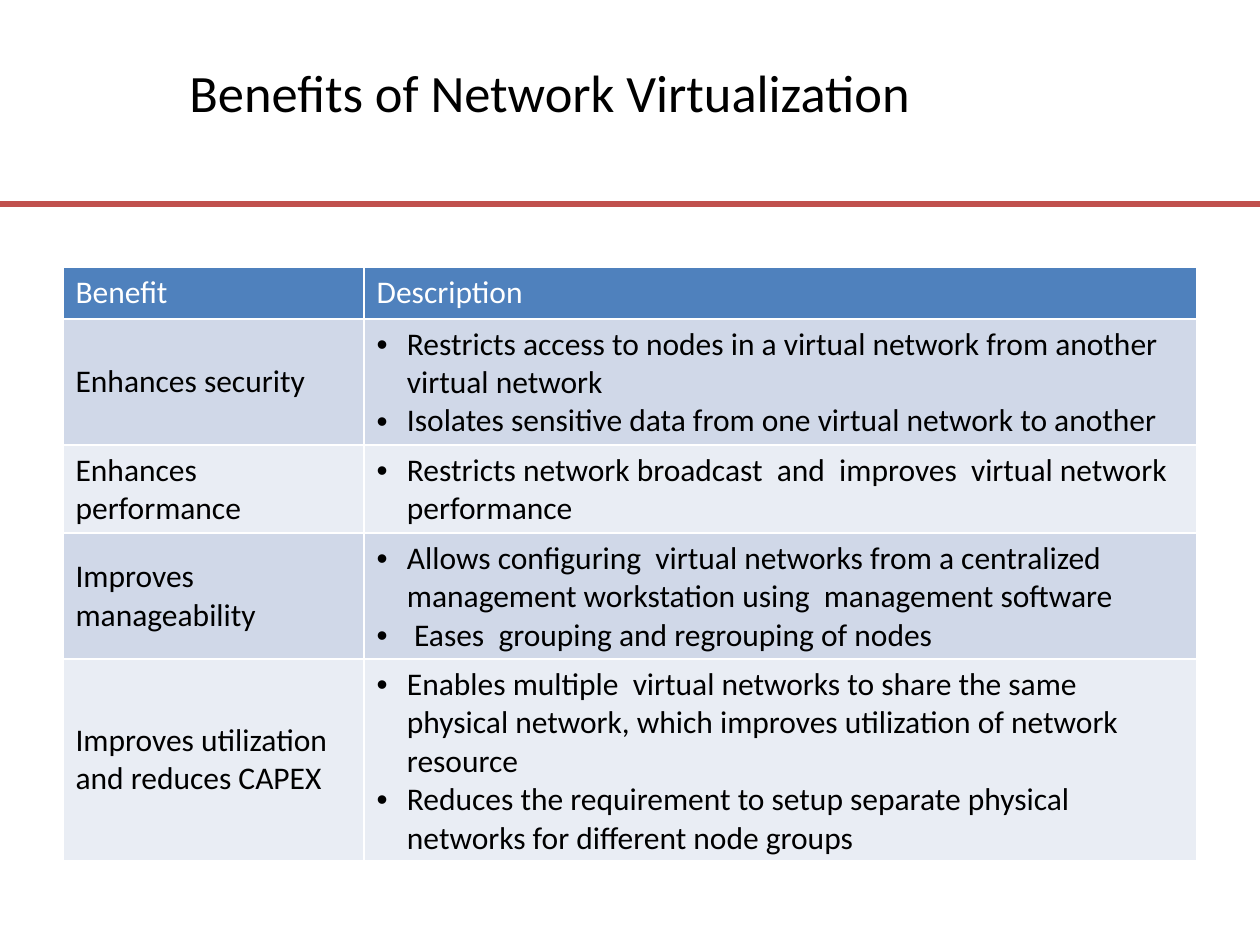
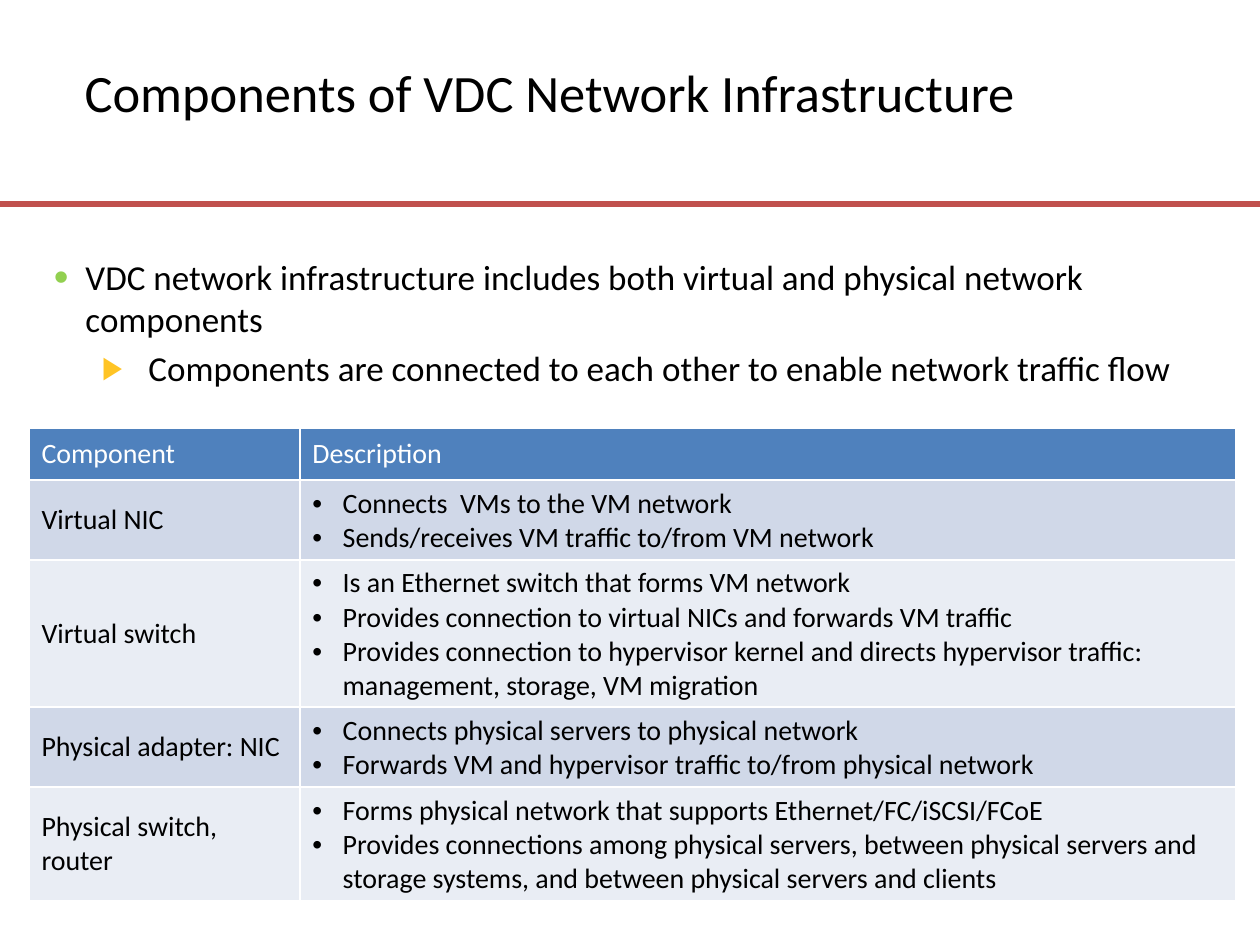
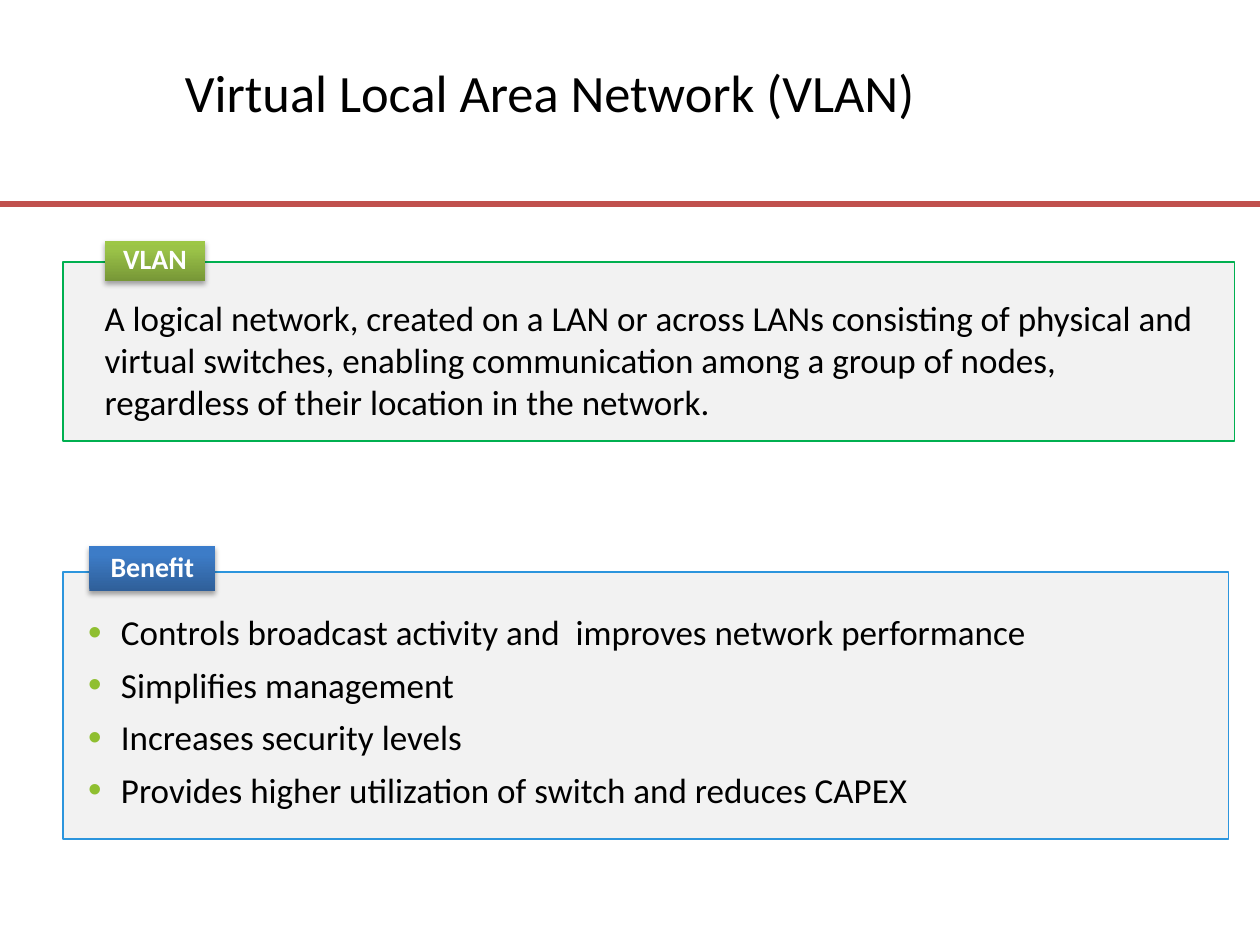
from lxml import etree
from pptx import Presentation
from pptx import util as u
from pptx.dml.color import RGBColor
from pptx.enum import shapes, text
from pptx.oxml.ns import qn

FONT = "Calibri"
COLORS = {
    "black": "000000", "white": "FFFFFF", "rule": "C0504D",
    "header": "4F81BD", "band_dark": "D0D8E8", "band_light": "E9EDF4",
    "panel": "F2F2F2", "vlan_line": "00B050", "benefit_line": "2C95DD",
    "green_dot": "92D050", "yellow_arrow": "FFC425", "olive_dot": "8FBF30",
}
# Gradient stops run from the bottom of a badge to its top.
VLAN_GRADIENT = {0: "779737", 80: "9BC348", 100: "9DC746"}
BENEFIT_GRADIENT = {0: "2F5F99", 80: "3D7CC7", 100: "3A7CCB"}

CELL_BULLET = {"char": "•", "left": 0.24, "hang": 0.24}
BODY_BULLETS = [
    {"char": "•", "left": 0.25, "hang": 0.25, "color": "green_dot", "size": 120},
    {"char": "▶", "left": 0.75, "hang": 0.37, "color": "yellow_arrow", "size": 90},
]
PANEL_BULLET = {"char": "•", "left": 0.26, "hang": 0.26,
                "color": "olive_dot", "size": 110}

BENEFITS = [
    ("Benefit", ["Description"]),
    ("Enhances security", [
        "Restricts access to nodes in a virtual network from another virtual network",
        "Isolates sensitive data from one virtual network to another"]),
    ("Enhances performance", [
        "Restricts network broadcast  and  improves  virtual network performance"]),
    ("Improves manageability", [
        "Allows configuring  virtual networks from a centralized management "
        "workstation using  management software",
        " Eases  grouping and regrouping of nodes"]),
    ("Improves utilization and reduces CAPEX", [
        "Enables multiple  virtual networks to share the same physical network, "
        "which improves utilization of network resource",
        "Reduces the requirement to setup separate physical networks for "
        "different node groups"]),
]
COMPONENTS = [
    ("Component", ["Description"]),
    ("Virtual NIC", [
        "Connects  VMs to the VM network",
        "Sends/receives VM traffic to/from VM network"]),
    ("Virtual switch", [
        "Is an Ethernet switch that forms VM network",
        "Provides connection to virtual NICs and forwards VM traffic",
        "Provides connection to hypervisor kernel and directs hypervisor traffic: "
        "management, storage, VM migration"]),
    ("Physical adapter: NIC", [
        "Connects physical servers to physical network",
        "Forwards VM and hypervisor traffic to/from physical network"]),
    ("Physical switch, router", [
        "Forms physical network that supports Ethernet/FC/iSCSI/FCoE",
        "Provides connections among physical servers, between physical servers "
        "and storage systems, and between physical servers and clients"]),
]
VLAN_DEFINITION = (
    "A logical network, created on a LAN or across LANs consisting of physical "
    "and virtual switches, enabling communication among a group of nodes, "
    "regardless of their location in the network.")
VLAN_BENEFITS = [
    "Controls broadcast activity and  improves network performance",
    "Simplifies management",
    "Increases security levels",
    "Provides higher utilization of switch and reduces CAPEX",
]


def rgb(name):
    return RGBColor.from_string(COLORS[name])


def inches(values):
    return [u.Inches(value) for value in values]


def set_attributes(target, values):
    for name, value in values.items():
        setattr(target, name, value)


def add_element(parent, tag, **attributes):
    return etree.SubElement(parent, qn(tag), attributes)


def add_bullet(paragraph, bullet):
    properties = paragraph._p.get_or_add_pPr()
    properties.set("marL", str(u.Inches(bullet["left"])))
    properties.set("indent", str(-u.Inches(bullet["hang"])))
    if "color" in bullet:
        color = add_element(properties, "a:buClr")
        add_element(color, "a:srgbClr", val=COLORS[bullet["color"]])
        add_element(properties, "a:buSzPct", val=str(bullet["size"] * 1000))
    add_element(properties, "a:buFont", typeface="Arial")
    add_element(properties, "a:buChar", char=bullet["char"])


def write(frame, lines, size, color="black", bold=False, bullets=None, **layout):
    """Fill a text frame with one paragraph a line; layout sets paragraph values."""
    for index, line in enumerate(lines):
        paragraph = frame.add_paragraph() if index else frame.paragraphs[0]
        run = paragraph.add_run()
        run.text = line
        set_attributes(run.font, {"name": FONT, "size": u.Pt(size), "bold": bold})
        run.font.color.rgb = rgb(color)
        if bullets:
            add_bullet(paragraph, bullets[min(index, len(bullets) - 1)])
        set_attributes(paragraph, {"alignment": text.PP_ALIGN.LEFT, **layout})


def add_text_box(slide, box, anchor):
    frame = slide.shapes.add_textbox(*inches(box)).text_frame
    set_attributes(frame, {"word_wrap": True, "vertical_anchor": anchor})
    return frame


def add_titled_slide(presentation, title):
    slide = presentation.slides.add_slide(presentation.slide_layouts[6])
    rule = slide.shapes.add_connector(
        shapes.MSO_CONNECTOR.STRAIGHT, *inches((0, 1.62, 10, 1.62)))
    rule.line.color.rgb = rgb("rule")
    rule.line.width = u.Pt(3.5)
    add_element(rule._element.spPr, "a:effectLst")
    frame = add_text_box(slide, (0.5, 0.3, 7.73, 0.85), text.MSO_ANCHOR.MIDDLE)
    write(frame, [title], 30, alignment=text.PP_ALIGN.CENTER)
    return slide


def add_cell_borders(cell):
    properties = cell._tc.get_or_add_tcPr()
    for side in "LRTB":
        border = add_element(properties, f"a:ln{side}", w=str(u.Pt(1)))
        fill = add_element(border, "a:solidFill")
        add_element(fill, "a:srgbClr", val=COLORS["white"])


def add_description_table(slide, box, first_width, row_heights, rows, size):
    left, top, width = box
    table = slide.shapes.add_table(
        len(rows), 2, *inches((left, top, width, sum(row_heights)))).table
    table.horz_banding = False
    for column, column_width in zip(table.columns, (first_width, width - first_width)):
        column.width = u.Inches(column_width)
    for index, (label, descriptions) in enumerate(rows):
        table.rows[index].height = u.Inches(row_heights[index])
        is_header = index == 0
        fill = "header" if is_header else ("band_light", "band_dark")[index % 2]
        color = "white" if is_header else "black"
        for column, lines in enumerate(([label], descriptions)):
            cell = table.cell(index, column)
            add_cell_borders(cell)
            cell.fill.solid()
            cell.fill.fore_color.rgb = rgb(fill)
            cell.vertical_anchor = text.MSO_ANCHOR.MIDDLE
            bullets = [CELL_BULLET] if column and not is_header else None
            write(cell.text_frame, lines, size, color, bullets=bullets)


def add_rectangle(group, box, margins):
    """Add a plain rectangle; margins are left, top, right, bottom."""
    shape = group.shapes.add_shape(shapes.MSO_SHAPE.RECTANGLE, *inches(box))
    shape.shadow.inherit = False
    sides = ("margin_left", "margin_top", "margin_right", "margin_bottom")
    set_attributes(shape.text_frame, {
        "word_wrap": True, "vertical_anchor": text.MSO_ANCHOR.MIDDLE,
        **dict(zip(sides, inches(margins)))})
    return shape


def add_badge(group, box, label, gradient):
    badge = add_rectangle(group, box, (0.11, 0, 0.11, 0))
    badge.line.fill.background()
    badge.fill.gradient()
    badge.fill.gradient_angle = 90
    properties = badge._element.spPr
    stops = properties.find(".//" + qn("a:gsLst"))
    for stop in list(stops):
        stops.remove(stop)
    for position, color in gradient.items():
        stop = add_element(stops, "a:gs", pos=str(position * 1000))
        add_element(stop, "a:srgbClr", val=color)
    shadow = add_element(
        properties.find(qn("a:effectLst")), "a:outerShdw", blurRad=str(u.Pt(3.1)),
        dist=str(u.Pt(1.8)), dir="5400000", rotWithShape="0")
    shade = add_element(shadow, "a:srgbClr", val=COLORS["black"])
    add_element(shade, "a:alpha", val="35000")
    write(badge.text_frame, [label], 16, "white", bold=True,
          alignment=text.PP_ALIGN.CENTER, line_spacing=0.9)


def add_badged_panel(slide, box, line, margins, lines, badge, **style):
    """Add a panel; the badge box is given relative to the panel's corner."""
    group = slide.shapes.add_group_shape()
    panel = add_rectangle(group, box, margins)
    panel.fill.solid()
    panel.fill.fore_color.rgb = rgb("panel")
    panel.line.color.rgb = rgb(line)
    panel.line.width = u.Pt(0.75)
    write(panel.text_frame, lines, 20, **style)
    label, (dx, dy, width, height), gradient = badge
    add_badge(group, (box[0] + dx, box[1] + dy, width, height), label, gradient)


def build_benefits_slide(presentation):
    slide = add_titled_slide(presentation, "Benefits of Network Virtualization")
    add_description_table(slide, (0.5, 2.12, 9), 2.39,
                          (0.41, 1, 0.7, 1, 1.6), BENEFITS, 18)


def build_components_slide(presentation):
    slide = add_titled_slide(presentation, "Components of VDC Network Infrastructure")
    frame = add_text_box(slide, (0.33, 1.98, 9.42, 1.42), text.MSO_ANCHOR.TOP)
    write(frame, [
        "VDC network infrastructure includes both virtual and physical network components",
        "Components are connected to each other to enable network traffic flow",
    ], 20, bullets=BODY_BULLETS, space_before=u.Pt(4))
    add_description_table(slide, (0.23, 3.4, 9.58), 2.15,
                          (0.41, 0.63, 1.17, 0.63, 0.9), COMPONENTS, 16)


def build_vlan_slide(presentation):
    slide = add_titled_slide(presentation, "Virtual Local Area Network (VLAN)")
    add_badged_panel(
        slide, (0.5, 2.08, 9.3, 1.42), "vlan_line", (0.33, 0.25, 0.33, 0.12),
        [VLAN_DEFINITION], ("VLAN", (0.33, -0.17, 0.8, 0.32), VLAN_GRADIENT))
    add_badged_panel(
        slide, (0.5, 4.54, 9.25, 2.12), "benefit_line", (0.2, 0.2, 0.2, 0.12),
        VLAN_BENEFITS, ("Benefit", (0.21, -0.21, 1, 0.36), BENEFIT_GRADIENT),
        bullets=[PANEL_BULLET], space_before=u.Pt(6))


def main():
    presentation = Presentation()
    set_attributes(presentation, {"slide_width": u.Inches(10),
                                  "slide_height": u.Inches(7.5)})
    build_benefits_slide(presentation)
    build_components_slide(presentation)
    build_vlan_slide(presentation)
    presentation.save("out.pptx")


if __name__ == "__main__":
    main()
